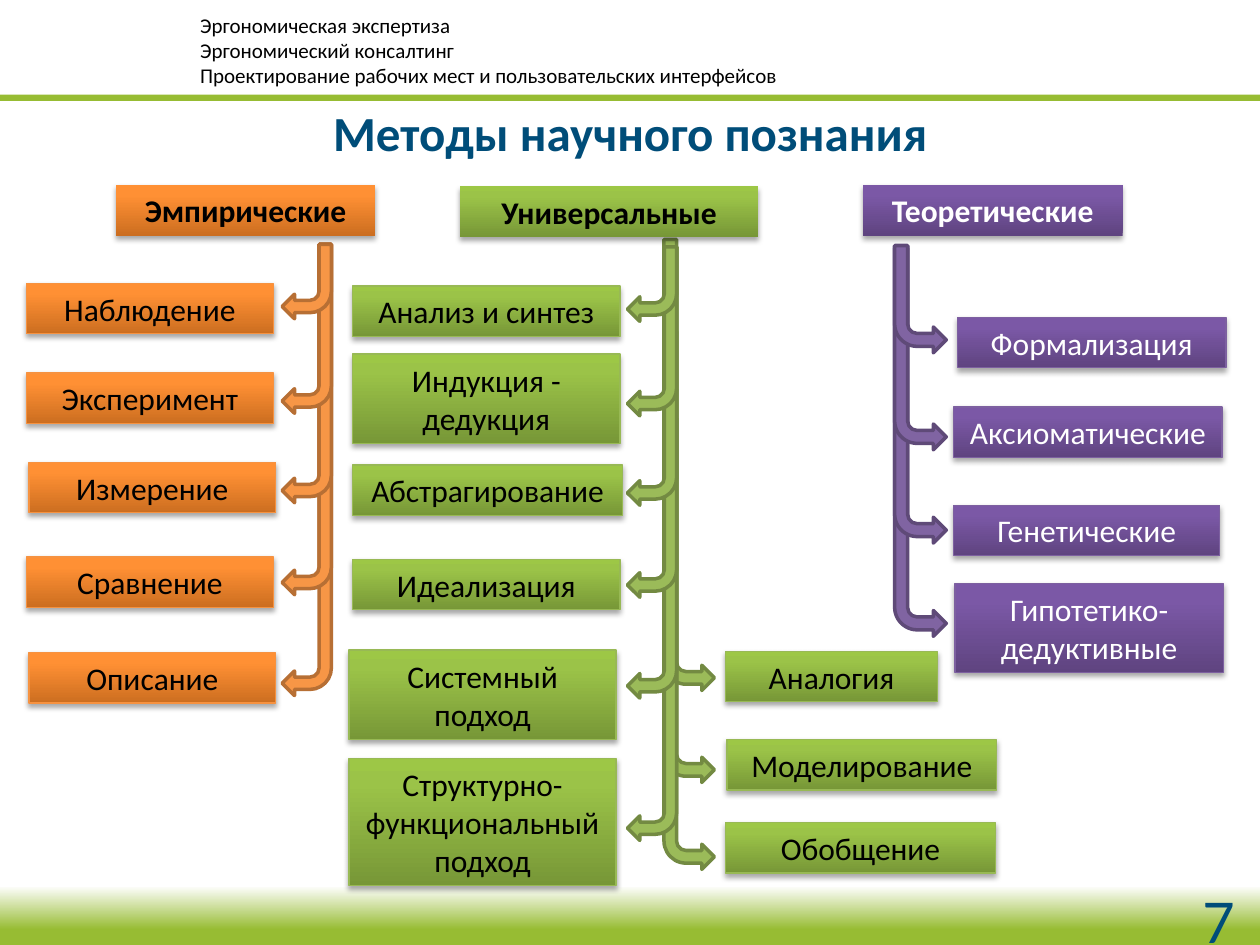
from copy import deepcopy

from lxml import etree
from pptx import Presentation
from pptx.dml.color import RGBColor
from pptx.enum.shapes import MSO_SHAPE
from pptx.enum.text import MSO_ANCHOR, MSO_AUTO_SIZE, PP_ALIGN
from pptx.oxml.ns import qn
from pptx.util import Inches, Pt

RECTANGLE, BENT_ARROW = MSO_SHAPE.RECTANGLE, MSO_SHAPE.BENT_ARROW
CENTER, RIGHT, MIDDLE = PP_ALIGN.CENTER, PP_ALIGN.RIGHT, MSO_ANCHOR.MIDDLE
NO_AUTOFIT = MSO_AUTO_SIZE.NONE

BLACK = RGBColor(0x00, 0x00, 0x00)
WHITE = RGBColor(0xFF, 0xFF, 0xFF)
NAVY = RGBColor(0x00, 0x4D, 0x79)
LIME = RGBColor(0x97, 0xBC, 0x33)

ORANGE_STOPS = [(0, RGBColor(0xCC, 0x6E, 0x20)), (0.8, RGBColor(0xFF, 0x90, 0x34)),
                (1, RGBColor(0xFF, 0x91, 0x36))]
GREEN_STOPS = [(0, RGBColor(0x77, 0x97, 0x37)), (0.8, RGBColor(0x9B, 0xC3, 0x48)),
               (1, RGBColor(0x9D, 0xC7, 0x46))]
PURPLE_STOPS = [(0, RGBColor(0x5F, 0x44, 0x80)), (0.8, RGBColor(0x7B, 0x58, 0xA6)),
                (1, RGBColor(0x7C, 0x57, 0xA8))]
FOOTER_STOPS = [(0, LIME), (0.37, LIME), (1, WHITE)]
ORANGE_EDGE = RGBColor(0xF6, 0x92, 0x40)
GREEN_EDGE = RGBColor(0x98, 0xB9, 0x55)
PURPLE_EDGE = RGBColor(0x7D, 0x60, 0xA0)
ORANGE_ARROW = RGBColor(0xF7, 0x96, 0x46), RGBColor(0xB7, 0x6F, 0x34)
GREEN_ARROW = RGBColor(0x9B, 0xBB, 0x59), RGBColor(0x73, 0x8A, 0x42)
PURPLE_ARROW = RGBColor(0x80, 0x64, 0xA2), RGBColor(0x5F, 0x4A, 0x78)

# Left, top, width, height of each box; the first box of a group is its heading.
GROUPS = [
    (ORANGE_STOPS, ORANGE_EDGE, BLACK, [
        ("Эмпирические", 0.92, 1.47, 2.06, 0.4),
        ("Наблюдение", 0.21, 2.25, 1.96, 0.4),
        ("Эксперимент", 0.21, 2.96, 1.96, 0.4),
        ("Измерение", 0.23, 3.67, 1.96, 0.4),
        ("Сравнение", 0.21, 4.42, 1.96, 0.4),
        ("Описание", 0.23, 5.18, 1.96, 0.4),
    ]),
    (GREEN_STOPS, GREEN_EDGE, BLACK, [
        ("Универсальные", 3.65, 1.48, 2.37, 0.4),
        ("Анализ и синтез", 2.8, 2.27, 2.12, 0.4),
        ("Индукция - дедукция", 2.8, 2.81, 2.12, 0.71),
        ("Абстрагирование", 2.8, 3.69, 2.14, 0.4),
        ("Идеализация", 2.8, 4.44, 2.12, 0.4),
        ("Системный подход", 2.77, 5.16, 2.12, 0.71),
        ("Структурно-функциональный подход", 2.77, 6.02, 2.12, 1.01),
        ("Аналогия", 5.76, 5.17, 1.68, 0.4),
        ("Моделирование", 5.77, 5.87, 2.14, 0.4),
        ("Обобщение", 5.76, 6.53, 2.14, 0.4),
    ]),
    (PURPLE_STOPS, PURPLE_EDGE, WHITE, [
        ("Теоретические", 6.85, 1.47, 2.06, 0.4),
        ("Формализация", 7.6, 2.52, 2.13, 0.4),
        ("Аксиоматические", 7.57, 3.23, 2.13, 0.4),
        ("Генетические", 7.57, 4.01, 2.11, 0.4),
        ("Гипотетико-дедуктивные", 7.58, 4.63, 2.13, 0.71),
    ]),
]

# Left, width, whether the head points right, colours, (top, height) of each arrow.
LEFT_BRANCHES = [(1.96, 3.58), (1.96, 2.78), (1.96, 2.05), (1.96, 1.34), (1.96, 0.59)]
ARROWS = [
    (5.27, 0.4, True, GREEN_ARROW, [(1.9, 3.58), (2.63, 3.58), (3.32, 3.58)]),
    (4.98, 0.39, False, GREEN_ARROW, [(3.09, 3.58)] + LEFT_BRANCHES),
    (2.24, 0.39, False, ORANGE_ARROW, [(top - 0.02, height) for top, height in LEFT_BRANCHES]),
    (7.1, 0.41, True, PURPLE_ARROW, [(1.95, 3.1), (1.97, 2.34), (1.95, 1.62), (1.95, 0.85)]),
]


def add_plain_shape(kind, left, top, width, height, stops):
    """Add a shape without line or shadow; several stops make an upward gradient."""
    shape = slide.shapes.add_shape(kind, Inches(left), Inches(top), Inches(width), Inches(height))
    shape.shadow.inherit = False
    shape.line.fill.background()
    if len(stops) == 1:
        shape.fill.solid()
        shape.fill.fore_color.rgb = stops[0][1]
        return shape
    shape.fill.gradient()
    shape.fill.gradient_angle = 90
    stop_list = shape._element.spPr.find(".//" + qn("a:gsLst"))
    stop_list.append(deepcopy(stop_list[-1]))
    for stop, (position, color) in zip(shape.fill.gradient_stops, stops):
        stop.position = position
        stop.color.rgb = color
    return shape


def add_text(para, text, size, color, align=None, bold=False, font="Calibri"):
    para.alignment = align
    span = para.add_run()
    span.text = text
    span.font.size = Pt(size)
    span.font.name = font
    span.font.bold = bold
    span.font.color.rgb = color


deck = Presentation()
deck.slide_width, deck.slide_height = Inches(10), Inches(7.5)
slide = deck.slides.add_slide(deck.slide_layouts[5])

title = slide.shapes.title
title.left, title.top = Inches(0), Inches(0.76)
title.width, title.height = Inches(10), Inches(0.57)
title.text_frame.auto_size = NO_AUTOFIT
title.text_frame.vertical_anchor = MIDDLE
add_text(title.text_frame.paragraphs[0], "Методы научного познания", 28, NAVY, CENTER, True)

for left, width, points_right, (fill_color, line_color), branches in ARROWS:
    for top, height in branches:
        arrow = add_plain_shape(BENT_ARROW, left, top, width, height, [(0, fill_color)])
        arrow.line.color.rgb = line_color
        arrow.line.width = Pt(2)
        arrow.rotation = 180
        if points_right:
            arrow._element.spPr.xfrm.set("flipH", "1")

add_plain_shape(RECTANGLE, -0.16, 7.03, 10.47, 0.55, FOOTER_STOPS)
add_plain_shape(RECTANGLE, -0.47, 0.75, 10.78, 0.05, [(0, LIME)])

header = slide.shapes.add_textbox(Inches(1.49), Inches(0.05), Inches(7.61), Inches(0.7))
header.text_frame.word_wrap = True
header_lines = ["Эргономическая экспертиза", "Эргономический консалтинг",
                "Проектирование рабочих мест и пользовательских интерфейсов"]
for index, line in enumerate(header_lines):
    frame = header.text_frame
    add_text(frame.add_paragraph() if index else frame.paragraphs[0], line, 12, BLACK)

page_number = slide.shapes.add_textbox(Inches(7.57), Inches(7.11), Inches(2.33), Inches(0.4))
page_number.text_frame.word_wrap = True
page_number.text_frame.vertical_anchor = MIDDLE
add_text(page_number.text_frame.paragraphs[0], "7", 32, NAVY, RIGHT, font="Lato")

for stops, edge_color, text_color, boxes in GROUPS:
    for index, (label, left, top, width, height) in enumerate(boxes):
        is_heading = index == 0
        box = add_plain_shape(RECTANGLE, left, top, width, height, stops)
        if not is_heading:
            box.line.color.rgb = edge_color
            box.line.width = Pt(0.75)
        effects = box._element.spPr.find(qn("a:effectLst"))
        shadow = etree.SubElement(effects, qn("a:outerShdw"), blurRad=str(Pt(3.1)),
                                  dist=str(Pt(1.8)), dir="5400000", rotWithShape="0")
        shadow_color = etree.SubElement(shadow, qn("a:srgbClr"), val=str(BLACK))
        etree.SubElement(shadow_color, qn("a:alpha"), val="35000")
        box.text_frame.word_wrap = True
        add_text(box.text_frame.paragraphs[0], label, 18, text_color, CENTER, is_heading)

deck.save("out.pptx")
